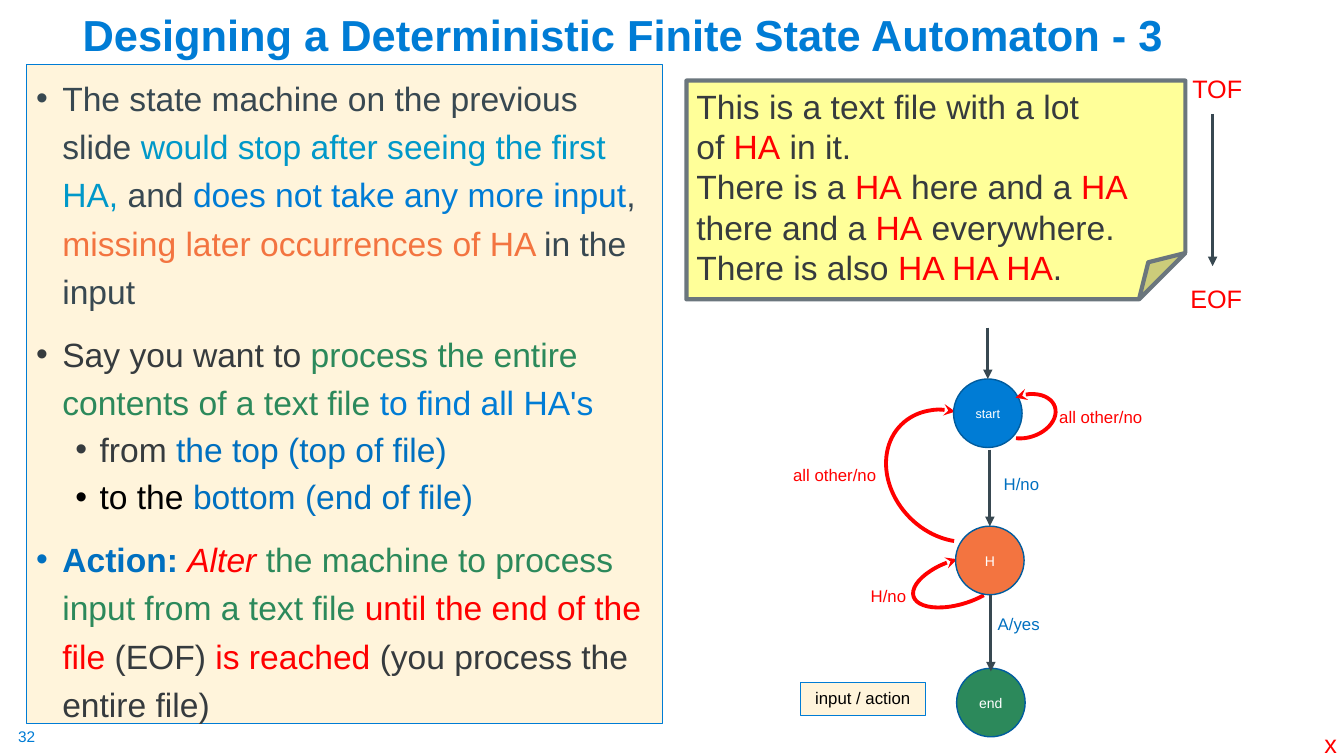
from typing import NamedTuple

from lxml import etree
from pptx import Presentation
from pptx.dml.color import RGBColor
from pptx.enum.shapes import MSO_CONNECTOR, MSO_SHAPE
from pptx.enum.text import MSO_ANCHOR, PP_ALIGN
from pptx.oxml.ns import qn
from pptx.util import Inches, Pt

STRAIGHT = MSO_CONNECTOR.STRAIGHT
ARC, OVAL = MSO_SHAPE.ARC, MSO_SHAPE.OVAL
RECTANGLE, FOLDED = MSO_SHAPE.RECTANGLE, MSO_SHAPE.FOLDED_CORNER
TOP, MIDDLE, BOTTOM = MSO_ANCHOR.TOP, MSO_ANCHOR.MIDDLE, MSO_ANCHOR.BOTTOM
LEFT, CENTER = PP_ALIGN.LEFT, PP_ALIGN.CENTER

BLUE = RGBColor(0x00, 0x7C, 0xD5)
LINK_BLUE = RGBColor(0x00, 0x70, 0xC0)
EDGE_BLUE = RGBColor(0x00, 0x5C, 0x9E)
CYAN = RGBColor(0x00, 0x98, 0xC9)
SLATE = RGBColor(0x38, 0x48, 0x51)
CHARCOAL = RGBColor(0x36, 0x3B, 0x3E)
GRAY = RGBColor(0x6B, 0x76, 0x7D)
ORANGE = RGBColor(0xF3, 0x74, 0x40)
GREEN = RGBColor(0x2C, 0x89, 0x5B)
RED = RGBColor(0xFF, 0x00, 0x00)
CREAM = RGBColor(0xFF, 0xF4, 0xDB)
YELLOW = RGBColor(0xFF, 0xFF, 0x99)
BLACK = RGBColor(0x00, 0x00, 0x00)
WHITE = RGBColor(0xFF, 0xFF, 0xFF)

FONT = "Arial"
COLUMNS, ROWS = 40, 22.5
CELL = Inches(7.5) / ROWS

NOTES = [
    (0, [("The state machine on the previous slide ", SLATE),
         ("would stop after seeing the first HA,", CYAN), (" and ", SLATE),
         ("does not take any more input", BLUE), (", ", SLATE),
         ("missing later occurrences of HA ", ORANGE), ("in the input", SLATE)]),
    (0, [("Say you want to ", CHARCOAL),
         ("process the entire contents of a text file ", GREEN),
         ("to find all HA's", BLUE)]),
    (1, [("from ", CHARCOAL), ("the top (top of file)", LINK_BLUE)]),
    (1, [("to the ", BLACK), ("bottom (end of file)", LINK_BLUE)]),
    (0, [("Action: ", LINK_BLUE, "bold"), ("Alter", RED, "italic"),
         (" the machine to process input from a text file ", GREEN),
         ("until the end of the file ", RED), ("(EOF) ", CHARCOAL),
         ("is reached ", RED), ("(you process the entire file)", CHARCOAL)]),
]
FILE_LINES = [
    [("This is a text file with a lot", CHARCOAL)],
    [("of ", CHARCOAL), ("HA", RED), (" in it.", CHARCOAL)],
    [("There is a ", CHARCOAL), ("HA", RED), (" here and a ", CHARCOAL), ("HA", RED)],
    [("there and a ", CHARCOAL), ("HA", RED), (" everywhere.", CHARCOAL)],
    [("There is also ", CHARCOAL), ("HA HA HA", RED), (".", CHARCOAL)],
]


class Box(NamedTuple):
    left: float
    top: float
    width: float
    height: float

    def inside(self, left, top, width, height):
        return Box(self.left + left, self.top + top, width, height)

    def lengths(self):
        return [round(value * CELL) for value in self]


def write(para, spans, size):
    para.font.name = FONT
    para.font.size = Pt(size)
    for text, color, *styles in spans:
        span = para.add_run()
        span.text = text
        span.font.color.rgb = color
        for style in styles:
            setattr(span.font, style, True)


def next_para(frame, index):
    return frame.add_paragraph() if index else frame.paragraphs[0]


def add_label(page, box, text, size, color, margin=0.1):
    frame = page.shapes.add_textbox(*box.lengths()).text_frame
    frame.word_wrap = True
    frame.margin_left = frame.margin_right = Inches(margin)
    frame.margin_top = frame.margin_bottom = Inches(margin / 2)
    write(frame.paragraphs[0], [(text, color)], size)


def add_panel(page, kind, box, fill, edge, weight, anchor=TOP):
    panel = page.shapes.add_shape(kind, *box.lengths())
    panel.shadow.inherit = False
    panel.fill.solid()
    panel.fill.fore_color.rgb = fill
    panel.line.color.rgb = edge
    panel.line.width = Pt(weight)
    panel.text_frame.word_wrap = True
    panel.text_frame.vertical_anchor = anchor
    return panel


def add_head(shape, kind):
    outline = shape.element.spPr.find(qn("a:ln"))
    etree.SubElement(outline, qn("a:tailEnd"), type=kind)


def add_arrow(page, box, column, start, end):
    x, top, _, _ = box.inside(column, start, 0, 0).lengths()
    bottom = box.inside(column, end, 0, 0).lengths()[1]
    arrow = page.shapes.add_connector(STRAIGHT, x, top, x, bottom)
    arrow.line.color.rgb = SLATE
    arrow.line.width = Pt(2.25)
    add_head(arrow, "triangle")
    etree.SubElement(arrow.element.spPr, qn("a:effectLst"))


def add_loop(page, box, rotation, angles, flipped=False):
    loop = page.shapes.add_shape(ARC, *box.lengths())
    loop.shadow.inherit = False
    loop.rotation = rotation
    for index, angle in enumerate(angles):
        loop.adjustments[index] = angle * 0.6
    loop.fill.background()
    loop.line.color.rgb = RED
    loop.line.width = Pt(2.75)
    add_head(loop, "stealth")
    if flipped:
        loop.element.spPr.find(qn("a:xfrm")).set("flipV", "1")


def add_title(page, box):
    title = page.shapes.title
    title.left, title.top, title.width, title.height = box.lengths()
    frame = title.text_frame
    frame.word_wrap = True
    frame.vertical_anchor = BOTTOM
    para = frame.paragraphs[0]
    para.alignment = LEFT
    para.line_spacing = 0.9
    write(para, [("Designing a Deterministic Finite State Automaton - 3", BLUE, "bold")], 31)


def add_notes(page, box):
    frame = add_panel(page, RECTANGLE, box, CREAM, BLUE, 0.75).text_frame
    for index, (level, spans) in enumerate(NOTES):
        para = next_para(frame, index)
        para.level = level
        para.alignment = LEFT
        para.line_spacing = 1.0 if level else 1.2
        if index:
            para.space_before = Pt(5 if level else 10)
        indent, hanging = (0.63, -0.24) if level else (0.26, -0.26)
        properties = para._p.get_or_add_pPr()
        properties.set("marL", str(Inches(indent)))
        properties.set("indent", str(Inches(hanging)))
        etree.SubElement(properties, qn("a:buFont"), typeface=FONT)
        etree.SubElement(properties, qn("a:buChar"), char="•")
        write(para, spans, 24)


def add_file(page, box):
    sheet = add_panel(page, FOLDED, box.inside(0, 0.36, 14.85, 6.51), YELLOW, GRAY, 3)
    guides = sheet.element.spPr.find(qn("a:prstGeom")).get_or_add_avLst()
    etree.SubElement(guides, qn("a:gd"), name="adj", fmla="val 21200")
    for index, spans in enumerate(FILE_LINES):
        para = next_para(sheet.text_frame, index)
        para.alignment = LEFT
        write(para, spans, 24)
    add_label(page, box.inside(14.76, 0, 2.25, 1.2), "TOF", 18, RED)
    add_label(page, box.inside(14.7, 6.24, 2.25, 1.2), "EOF", 18, RED)
    add_arrow(page, box, 15.66, 1.35, 5.88)


def add_machine(page, box):
    add_loop(page, box.inside(4.59, 6.12, 1.32, 2.88), 252, (137.28, 11.7))
    add_loop(page, box.inside(2.88, 2.64, 4.29, 3.54), 225.1, (223.12, 47.72))
    for left, top, text, size, fill in [(5.07, 1.53, "start", 9, BLUE),
                                        (5.13, 5.91, "H", 10, ORANGE),
                                        (5.16, 10.14, "end", 10, GREEN)]:
        state = add_panel(page, OVAL, box.inside(left, top, 2.04, 2.04), fill, EDGE_BLUE, 1, MIDDLE)
        frame = state.text_frame
        frame.margin_left = frame.margin_right = 0
        frame.paragraphs[0].alignment = CENTER
        write(frame.paragraphs[0], [(text, WHITE)], size)
    legend = add_panel(page, RECTANGLE, box.inside(0.51, 10.56, 3.72, 0.99), CREAM, BLUE, 0.75)
    legend.text_frame.paragraphs[0].alignment = CENTER
    write(legend.text_frame.paragraphs[0], [("input / action", BLACK)], 12)
    for column, start, end in [(6.09, 0, 1.53), (6.15, 3.63, 5.91), (6.18, 7.95, 10.23)]:
        add_arrow(page, box, column, start, end)
    add_loop(page, box.inside(6.6, 1.74, 1.26, 1.8), 252, (137.28, 11.7), flipped=True)
    for left, top, width, text, color in [(2.31, 7.53, 1.8, "H/no", RED),
                                          (0, 3.93, 3.33, "all other/no", RED),
                                          (6.27, 4.2, 1.8, "H/no", LINK_BLUE),
                                          (6.09, 8.37, 2.01, "A/yes", LINK_BLUE),
                                          (7.92, 2.22, 3.33, "all other/no", RED)]:
        add_label(page, box.inside(left, top, width, 0.99), text, 12, color)


def main():
    deck = Presentation()
    deck.slide_width, deck.slide_height = round(COLUMNS * CELL), round(ROWS * CELL)
    page = deck.slides.add_slide(deck.slide_layouts[5])
    add_label(page, Box(0.54, 21.63, 0.57, 0.57), "32", 11, BLUE, margin=0)
    add_title(page, Box(2.16, 0.03, 34.5, 1.92))
    add_notes(page, Box(0.78, 1.92, 18.93, 19.62))
    add_label(page, Box(39.12, 21.54, 0.99, 1.2), "x", 18, RED)
    add_file(page, Box(20.43, 2.04, 17.01, 7.44))
    add_machine(page, Box(23.31, 9.75, 11.25, 12.18))
    deck.save("out.pptx")


if __name__ == "__main__":
    main()
